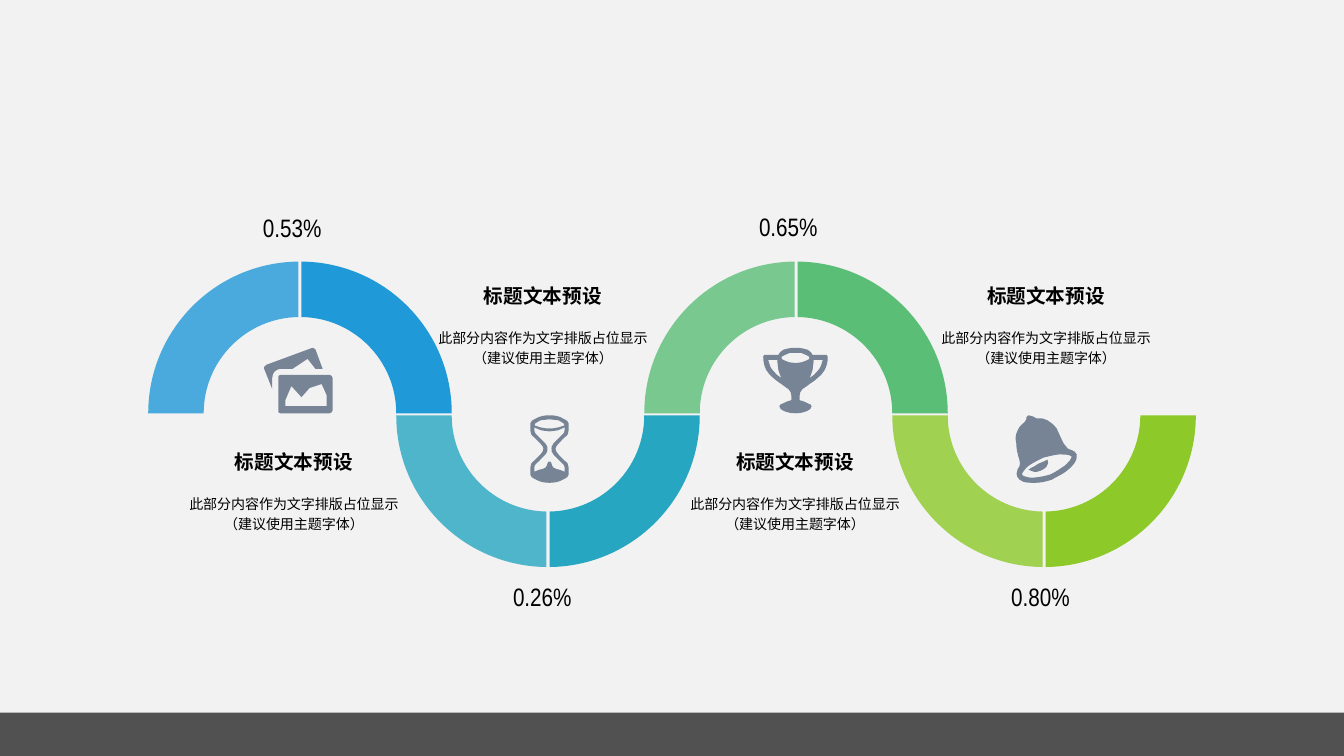
"""Build a slide with a four-stage wave of half rings, icons and captions."""
import math
from dataclasses import dataclass
from typing import Any, Callable

from lxml import etree
from pptx import Presentation
from pptx import util as u
from pptx.dml import color
from pptx.enum import shapes, text
from pptx.oxml import ns

Point = tuple[float, float]
Segment = list[Point]
Contour = list[Segment]

BLACK, ICON_COLOR = "000000", "778495"
RING_LEFT, RING_STEP, RING_WIDTH, RING_BAND = 1.47, 2.46, 3.01, 0.55
GAP = 0.03
ARCH_BASE, BOWL_BASE = 4.1, 4.12
BLOCK_WIDTH, TITLE_HEIGHT, BODY_HEIGHT = 2.61, 0.5, 0.51
TITLE = "标题文本预设"
BODY = "此部分内容作为文字排版占位显示\n（建议使用主题字体）"

CENTERED = dict(margin_left=0, margin_right=0, margin_top=0, margin_bottom=0,
                vertical_anchor=text.MSO_ANCHOR.MIDDLE)


@dataclass
class TextStyle:
    frame: dict[str, Any]
    paragraph: dict[str, Any]
    font: dict[str, Any]


VALUE_STYLE = TextStyle(dict(word_wrap=False), {},
                        dict(name="Arial Narrow", size=u.Pt(18)))
TITLE_STYLE = TextStyle(dict(CENTERED, word_wrap=False),
                        dict(alignment=text.PP_ALIGN.CENTER),
                        dict(name="Calibri", size=u.Pt(14), bold=True))
BODY_STYLE = TextStyle(dict(CENTERED, word_wrap=True),
                       dict(alignment=text.PP_ALIGN.CENTER, line_spacing=1.2),
                       dict(name="Calibri", size=u.Pt(10)))


@dataclass
class Icon:
    """Outlines in hundredths of an inch; halves and pairs mirror about the axis."""
    left: float
    top: float
    wholes: tuple[str, ...] = ()
    halves: tuple[str, ...] = ()
    pairs: tuple[str, ...] = ()
    axis: float = 0


PHOTOS = Icon(2.62, 3.45, wholes=(
    "L 57 36 45 40 37 49 27 38 21 52 21 58 62 58 62 47",
    "L 16 27 65 27 67 28 68 30 68 62 67 64 65 65 16 65 14 64 14 62 14 30 14 28",
    "L 48 0 50 1 51 2 58 21 51 21 43 11 28 21 16 21 "
    "C 14 21 12 22 10 24 9 25 8 28 8 30 L 8 41 0 21 0 19 2 17",
))
HOURGLASS = Icon(5.26, 4.12, axis=19, halves=(
    "L 19 16 C 16 16 13 15 11 15 8 14 6 13 4 12 L 4 15 C 4 17 5 18 6 19 "
    "L 10 23 C 12 25 14 27 15 28 17 30 17 32 17 33 17 35 17 37 15 39 "
    "L 9 45 C 8 46 6 48 5 49 4 50 4 52 4 52 L 4 56 9 54 "
    "C 11 54 13 53 15 52 16 51 17 49 17 48 17 46 18 46 19 46",
    "L 19 4 C 16 4 13 5 10 5 8 6 7 7 5 8 L 4 10 "
    "C 6 11 8 11 10 12 13 13 16 13 19 13",
    "L 19 0 C 14 0 9 1 6 3 2 5 0 6 0 8 L 0 15 "
    "C 0 18 1 20 4 22 6 24 8 26 10 28 12 30 13 32 13 33 13 35 12 37 10 39 "
    "8 41 6 43 4 45 1 47 0 49 0 52 L 0 59 C 0 61 2 62 6 64 9 66 14 67 19 67",
))
TROPHY = Icon(7.57, 3.45, axis=32, pairs=(
    "L 5 12 C 6 16 7 20 10 23 12 26 15 28 18 30 17 28 16 25 15 22 15 19 14 16 14 12",
), halves=(
    "L 32 5 C 27 5 24 5 22 7 19 8 18 9 18 10 18 11 19 12 22 13 24 14 27 15 32 15",
    "L 32 0 C 27 0 23 1 20 2 17 4 16 5 15 7 L 3 7 1 7 0 9 "
    "C 0 14 1 18 3 22 5 25 7 28 10 30 12 32 15 34 18 36 21 38 23 40 25 41 "
    "27 43 28 45 28 48 L 28 52 C 24 53 22 54 20 55 17 56 16 57 16 58 "
    "16 60 18 62 21 63 24 64 27 65 32 65",
))
BELL = Icon(10.07, 4.12, wholes=(
    "L 32 44 C 33 46 33 49 31 51 30 53 27 54 25 55 22 56 20 57 18 56 "
    "L 13 54 C 15 53 17 51 20 50 22 48 26 47 30 45",
    "L 48 39 C 43 38 37 40 28 42 20 46 14 49 11 52 8 56 6 58 7 59 "
    "7 60 10 61 15 62 20 62 27 61 34 59 39 57 43 54 46 52 50 50 52 47 54 45 "
    "55 43 56 42 56 41 55 40 53 39 48 39",
    "L 13 0 17 1 21 3 C 26 3 29 3 32 5 35 7 38 9 41 13 "
    "43 17 45 22 48 28 50 30 51 32 52 33 L 57 35 C 58 35 60 37 61 39 "
    "61 41 61 44 59 47 57 50 54 53 50 56 46 59 41 61 36 64 30 66 25 67 20 67 "
    "15 67 11 67 8 66 5 65 3 63 2 61 1 59 1 57 2 55 2 54 3 52 4 51 "
    "5 49 5 47 4 44 2 38 1 32 1 28 0 23 0 20 2 16 3 13 5 10 9 7 L 11 4 11 2",
))


@dataclass
class Stage:
    value: str
    value_at: Point
    block_at: Point
    fill: str
    icon: Icon


STAGES = (
    Stage("0.53%", (2.51, 2.06), (1.61, 4.33), "2099D8", PHOTOS),
    Stage("0.26%", (4.99, 5.72), (4.08, 2.68), "27A6C2", HOURGLASS),
    Stage("0.65%", (7.43, 2.05), (6.58, 4.33), "5BBE77", TROPHY),
    Stage("0.80%", (9.93, 5.72), (9.07, 2.68), "8DC928", BELL),
)


def rgb(value: str) -> color.RGBColor:
    return color.RGBColor.from_string(value)


def assign(target: Any, values: dict[str, Any]) -> None:
    for name, value in values.items():
        setattr(target, name, value)


def paint(s: Any, fill: str, opacity: int = 100) -> None:
    s.shadow.inherit = False
    s.fill.solid()
    s.fill.fore_color.rgb = rgb(fill)
    s.line.fill.background()
    if opacity < 100:
        clr = s._element.spPr.find(".//" + ns.qn("a:srgbClr"))
        etree.SubElement(clr, ns.qn("a:alpha"), val=str(opacity * 1000))


def transform(contour: Contour, move: Callable[[float, float], Point]) -> Contour:
    return [[move(x, y) for x, y in segment] for segment in contour]


def backward(contour: Contour) -> Contour:
    pairs = list(zip(contour, contour[1:]))[::-1]
    return [contour[-1][-1:]] + [seg[-2::-1] + before[-1:] if len(seg) > 1 else before[-1:]
                                 for before, seg in pairs]


def add_outline(sp: Any, contours: list[Contour], fill: str, opacity: int = 100) -> None:
    scaled = [transform(c, lambda x, y: (u.Inches(x), u.Inches(y))) for c in contours]
    builder = sp.build_freeform(*scaled[0][0][-1])
    for i, contour in enumerate(scaled):
        if i:
            builder.move_to(*contour[0][-1])
        builder.add_line_segments([seg[-1] for seg in contour[1:]], close=True)
    s = builder.convert_to_shape()
    segments = [seg for contour in scaled for seg in contour[1:]]
    lines = list(s._element.spPr.iter(ns.qn("a:lnTo")))
    for line, segment in zip(lines, segments):
        if len(segment) == 3:
            curve = etree.Element(ns.qn("a:cubicBezTo"))
            for x, y in segment:
                etree.SubElement(curve, ns.qn("a:pt"), x=str(x - s.left), y=str(y - s.top))
            line.getparent().replace(line, curve)
    paint(s, fill, opacity)


def read_outline(outline: str) -> Contour:
    contour: Contour = []
    size, segment, numbers = 1, [], []
    for token in outline.split():
        if token.isalpha():
            size = 3 if token == "C" else 1
            continue
        numbers.append(float(token))
        if len(numbers) == 2:
            segment.append((numbers[0], numbers[1]))
            numbers = []
        if len(segment) == size:
            contour.append(segment)
            segment = []
    return contour


def add_icon(sp: Any, icon: Icon) -> None:
    def mirror(contour: Contour) -> Contour:
        return transform(contour, lambda x, y: (2 * icon.axis - x, y))

    wholes, halves, pairs = ([read_outline(o) for o in outlines]
                             for outlines in (icon.wholes, icon.halves, icon.pairs))
    contours = [*wholes, *pairs, *map(mirror, pairs),
                *(h + backward(mirror(h))[1:] for h in halves)]
    add_outline(sp, [transform(c, lambda x, y: (icon.left + x / 100, icon.top + y / 100))
                     for c in contours], ICON_COLOR)


def add_quarter(sp: Any, index: int, side: int, fill: str) -> None:
    outer = RING_WIDTH / 2
    center = RING_LEFT + index * RING_STEP + outer
    base, down = (BOWL_BASE, 1) if index % 2 else (ARCH_BASE, -1)

    def arc(radius: float) -> Contour:
        end = math.acos(GAP / 2 / radius)
        k = 4 / 3 * math.tan(end / 4)
        c, s = math.cos(end), math.sin(end)
        unit = [[(1, 0)], [(1, k), (c + k * s, s - k * c), (c, s)]]
        return transform(unit, lambda x, y: (center + side * radius * x,
                                             base + down * radius * y))

    ring = arc(outer) + backward(arc(outer - RING_BAND))
    add_outline(sp, [ring], fill, 80 if side < 0 else 100)


def add_text(sp: Any, at: Point, size: Point, content: str, style: TextStyle) -> None:
    tf = sp.add_textbox(*map(u.Inches, (*at, *size))).text_frame
    assign(tf, style.frame)
    p = tf.paragraphs[0]
    p.text = content
    assign(p, style.paragraph)
    for r in p.runs:
        assign(r.font, style.font)
        r.font.color.rgb = rgb(BLACK)


def main() -> None:
    prs = Presentation()
    prs.slide_width, prs.slide_height = u.Inches(13.33), u.Inches(7.5)
    slide = prs.slides.add_slide(prs.slide_layouts[6])
    slide.background.fill.solid()
    slide.background.fill.fore_color.rgb = rgb("F2F2F2")
    sp = slide.shapes
    footer = sp.add_shape(shapes.MSO_SHAPE.RECTANGLE,
                          *map(u.Inches, (0, 7.07, 13.33, 0.43)))
    paint(footer, "0D0D0D", 70)
    for i, stage in enumerate(STAGES):
        for side in (-1, 1):
            add_quarter(sp, i, side, stage.fill)
        add_icon(sp, stage.icon)
        add_text(sp, stage.value_at, (0.83, 0.4), stage.value, VALUE_STYLE)
        left, top = stage.block_at
        add_text(sp, (left, top), (BLOCK_WIDTH, TITLE_HEIGHT), TITLE, TITLE_STYLE)
        add_text(sp, (left, top + TITLE_HEIGHT), (BLOCK_WIDTH, BODY_HEIGHT), BODY, BODY_STYLE)
    prs.save("out.pptx")


if __name__ == "__main__":
    main()
